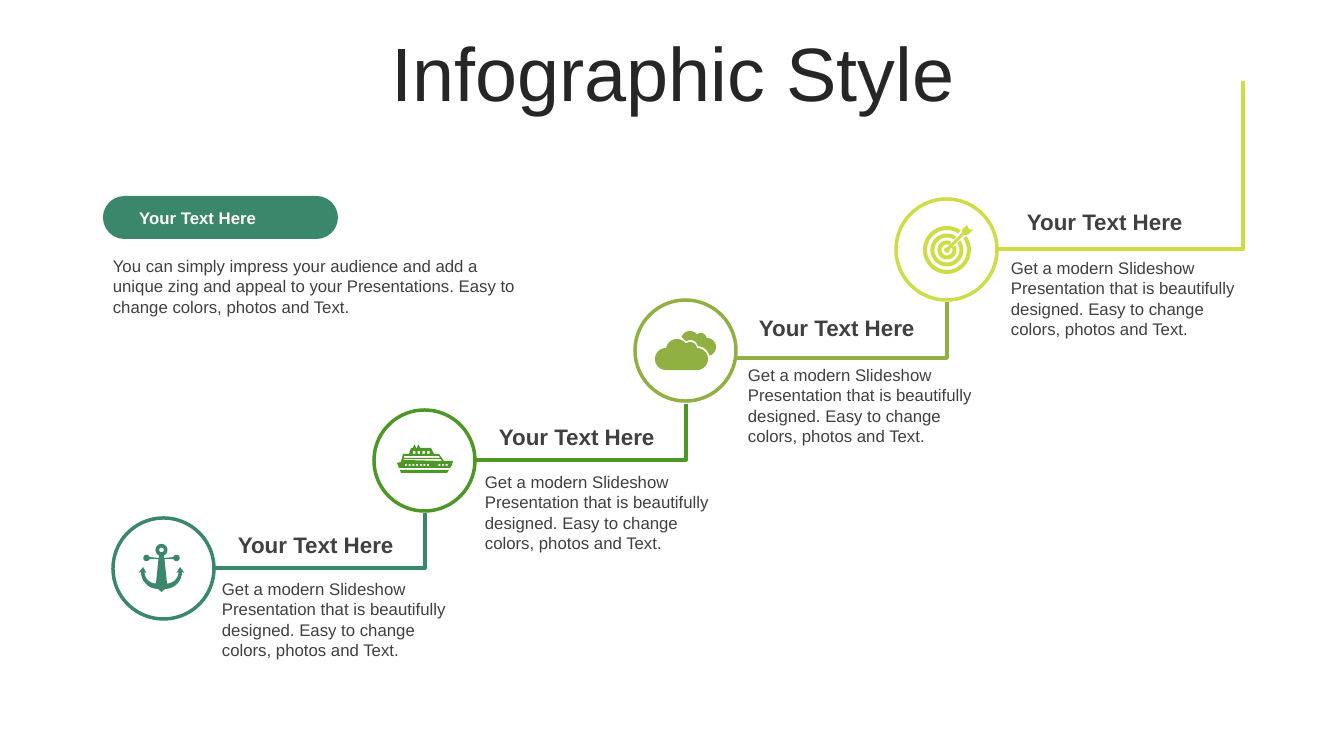
"""Build a staircase infographic slide with four icon steps."""
from math import cos, sin, radians

from lxml.etree import SubElement
from pptx import Presentation
from pptx.dml.color import RGBColor
from pptx.enum.shapes import MSO_CONNECTOR, MSO_SHAPE
from pptx.enum.text import MSO_ANCHOR, PP_ALIGN
from pptx.oxml.ns import qn
from pptx.util import Pt

PX = 914400 / 100.8
TEAL = RGBColor(0x3A, 0x87, 0x6B)
GREEN = RGBColor(0x4D, 0x97, 0x24)
OLIVE = RGBColor(0x90, 0xB1, 0x41)
LIME = RGBColor(0xCE, 0xDD, 0x46)
DARK = RGBColor(0x26, 0x26, 0x26)
GRAY = RGBColor(0x40, 0x40, 0x40)
WHITE = RGBColor(0xFF, 0xFF, 0xFF)

TITLE = "Infographic Style"
HEAD = "Your Text Here"
INTRO = ("You can simply impress your audience and add a unique zing and appeal "
         "to your Presentations. Easy to change colors, photos and Text.")
BODY = ("Get a modern Slideshow Presentation that is beautifully designed. "
        "Easy to change colors, photos and Text.")
RING, PITCH = 101, 261
STEPS = [
    dict(color=TEAL, top=518, head=(228, 526), start=568, end=(425, 513)),
    dict(color=GREEN, top=410, head=(489, 418), start=460, end=(686, 404)),
    dict(color=OLIVE, top=300, head=(749, 309), start=358, end=(947, 302)),
    dict(color=LIME, top=199, head=(1017, 203), start=249, end=(1243, 81)),
]


def emu(*nums):
    return [round(n * PX) for n in nums]


def arc(x, y, r, a, b):
    n = max(2, round(abs(b - a) / 10))
    turns = [radians(a + (b - a) * i / n) for i in range(n + 1)]
    return [(x + r * cos(t), y + r * sin(t)) for t in turns]


def rect(x, y, w, h):
    return [(x, y), (x + w, y), (x + w, y + h), (x, y + h)]


def anchor():
    half = [*arc(0, -18, 6, 270, 420), (2.5, -13), (2.5, -10),
            *arc(15, -10, 3.2, 195, 520), (3, -9), *arc(5.5, 4, 11.5, 90, 0),
            (15, 5), (18.5, -1), (23, 5), *arc(3.5, 4, 17, 0, 90), (0, 24)]
    whole = half + [(-x, y) for x, y in reversed(half)]
    loops = [whole, arc(0, -18, 2.3, 0, 360)]
    return [[(x - 1.5, y) for x, y in loop] for loop in loops]


def ship():
    body = [(-6, -15), (-5, -15), (-4, -12), (7, -12), (10, -6), (15, -6),
            (20, 1), (29, 1), (28, 5), (26, 8), (-25, 8), (-27, 3), (-23, 2),
            (-21, -6), (-15, -6), (-13, -12), (-11, -12), (-10, -15),
            (-9, -15), (-8, -12), (-7, -12)]
    keel = [(-24, 10), (25, 10), (23, 13), (-23, 13)]
    decks = [[(-20, -1), (17, -1), (18, 1), (-21, 0)],
             [(-20, -4), (15, -4), (16, -2), (-20, -2)]]
    ports = [rect(-19 + 3.7 * i, 4, 2, 2) for i in (0, 1, 2, 3, 4, 5, 6, 9, 10, 11)]
    panes = [rect(-11 + 4.7 * i, -9, 2.5, 3) for i in range(4)]
    return [body, keel, *decks, *ports, *panes]


def cloud():
    front = (arc(-19, 9, 11, 90, 270) + arc(-8, 0, 11, 190, 322)
             + arc(5, -1, 7, 235, 352) + arc(12, 9, 11, 270, 450))
    back = (arc(5, -10, 9, 200, 320) + arc(16, -11.5, 5.5, 225, 355)
            + arc(22, -3, 9, 270, 430) + arc(12, 9, 13, -15, -85)
            + arc(5.5, -2.5, 7.5, -10, -125))
    return [front, back]


def target():
    rings = [arc(1, 1, out, gap - 45, 315 - gap) + arc(1, 1, hole, 315 - gap, gap - 45)
             for out, hole, gap in ((24, 20, 10), (16.5, 12.5, 10), (9.5, 5.5, 18))]
    dart = [(21, -24), (23, -20), (27, -19), (22, -14), (18, -14),
            *arc(1, 1, 2.7, -10, 280), (16, -16), (16, -19)]
    return [*rings, dart]


def draw(x, y, loops, color):
    spots = [[tuple(emu(x + a, y + b)) for a, b in loop] for loop in loops]
    pen = slide.shapes.build_freeform(*spots[0][0], scale=1.0)
    for i, loop in enumerate(spots):
        if i:
            pen.move_to(*loop[0])
        pen.add_line_segments(loop[1:], close=True)
    form = pen.convert_to_shape()
    form.shadow.inherit = False
    form.fill.solid()
    form.fill.fore_color.rgb = color
    form.line.fill.background()


def write(frame, words, size=12, color=GRAY, bold=False, align=PP_ALIGN.LEFT,
          anchor=MSO_ANCHOR.TOP, space=1.0):
    frame.word_wrap = True
    frame.vertical_anchor = anchor
    para = frame.paragraphs[0]
    para.alignment, para.line_spacing = align, space
    run = para.add_run()
    run.text = words
    font = run.font
    font.name, font.size, font.bold = "Arial", Pt(size), bold
    font.color.rgb = color


def label(x, y, w, h, words, **style):
    write(slide.shapes.add_textbox(*emu(x, y, w, h)).text_frame, words, **style)


def elbow(x, y, end, color):
    line = slide.shapes.add_connector(MSO_CONNECTOR.ELBOW, *emu(x, y, *end))
    line.line.color.rgb = color
    line.line.width = Pt(2.5)
    props = line.element.spPr
    props.find(qn("a:prstGeom")).set("prst", "bentConnector2")
    SubElement(props, qn("a:effectLst"))


deck = Presentation()
deck.slide_width, deck.slide_height = emu(1344, 756)
slide = deck.slides.add_slide(deck.slide_layouts[5])

title = slide.shapes.title
title.left, title.top, title.width, title.height = emu(35, 37, 1276, 80)
write(title.text_frame, TITLE, size=54, color=DARK, align=PP_ALIGN.CENTER,
      anchor=MSO_ANCHOR.MIDDLE, space=0.9)

pill = slide.shapes.add_shape(MSO_SHAPE.ROUNDED_RECTANGLE, *emu(103, 196, 235, 43))
pill.adjustments[0] = 0.5
pill.shadow.inherit = False
pill.fill.solid()
pill.fill.fore_color.rgb = TEAL
pill.line.fill.background()
pill.text_frame.margin_left = emu(30)[0]
write(pill.text_frame, HEAD, color=WHITE, bold=True, anchor=MSO_ANCHOR.MIDDLE)
label(103, 251, 429, 72, INTRO)

for i, (step, icon) in enumerate(zip(STEPS, (anchor, ship, cloud, target))):
    left, top, color = 113 + PITCH * i, step["top"], step["color"]
    ring = slide.shapes.add_shape(MSO_SHAPE.OVAL, *emu(left, top, RING, RING))
    ring.shadow.inherit = False
    ring.fill.background()
    ring.line.color.rgb = color
    ring.line.width = Pt(2.5)
    elbow(left + RING, step["start"], step["end"], color)
    label(*step["head"], 198, 37, HEAD, size=16, bold=True)
    label(212 + 263 * i, 574 - 107 * i, 246, 92, BODY)
    draw(left + RING // 2, top + RING // 2, icon(), color)

deck.save("out.pptx")
